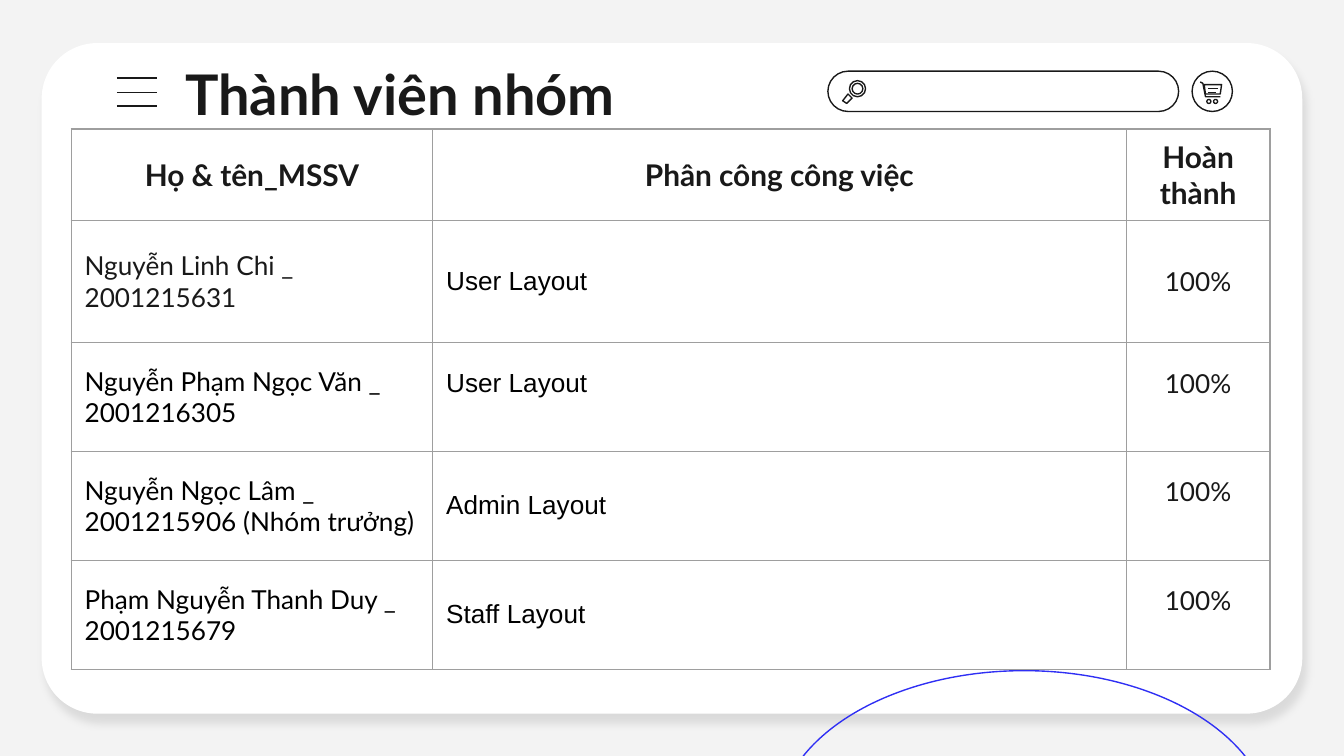
"""Build the team members slide with its task table."""
from lxml import etree
from pptx import Presentation
from pptx import util as u
from pptx.dml.color import RGBColor
from pptx.enum import shapes, text
from pptx.oxml import parse_xml

INK, BORDER, BLUE = "191919", "9E9E9E", "2F2FF4"
NS = "http://schemas.openxmlformats.org/drawingml/2006/main"
ROUND, OVAL = shapes.MSO_SHAPE.ROUNDED_RECTANGLE, shapes.MSO_SHAPE.OVAL


def paint(color_format, color):
    color_format.rgb = RGBColor.from_string(color)


def write(frame, content, size=14, font="Lato", color=INK, bold=False, centered=False):
    frame.word_wrap = True
    paragraph = frame.paragraphs[0]
    paragraph.alignment = text.PP_ALIGN.CENTER if centered else text.PP_ALIGN.LEFT
    run = paragraph.add_run()
    run.text = content
    run.font.size, run.font.name, run.font.bold = u.Pt(size), font, bold
    paint(run.font.color, color)


prs = Presentation()
prs.slide_width, prs.slide_height = u.Inches(10), u.Inches(10 * 9 / 16)
slide = prs.slides.add_slide(prs.slide_layouts[6])
slide.background.fill.solid()
paint(slide.background.fill.fore_color, "F3F3F3")

card = slide.shapes.add_shape(ROUND, u.Inches(0.31), u.Inches(0.32), u.Inches(9.38), u.Inches(4.99))
card.adjustments[0] = 0.083
card.fill.solid()
paint(card.fill.fore_color, "FFFFFF")
card.line.fill.background()
card._element.spPr.append(parse_xml(
    f'<a:effectLst xmlns:a="{NS}"><a:outerShdw blurRad="{u.Pt(4.5)}" dist="{u.Pt(6)}" '
    f'dir="{68 * 60000}" algn="bl" rotWithShape="0"><a:srgbClr val="000000">'
    '<a:alpha val="10000"/></a:srgbClr></a:outerShdw></a:effectLst>'))

outlines = [
    (OVAL, 5.78, 4.99, 3.68, 2.31, BLUE),
    (ROUND, 6.16, 0.53, 2.61, 0.3, INK),
    (OVAL, 8.87, 0.53, 0.3, 0.3, INK),
    (OVAL, 6.32, 0.6, 0.12, 0.12, INK),
    (OVAL, 6.34, 0.62, 0.08, 0.08, INK),
    (OVAL, 8.98, 0.74, 0.03, 0.03, INK),
    (OVAL, 9.03, 0.74, 0.03, 0.03, INK),
]
for kind, left, top, width, height, color in outlines:
    outline = slide.shapes.add_shape(kind, *map(u.Inches, (left, top, width, height)))
    if kind == ROUND:
        outline.adjustments[0] = 0.5
    outline.shadow.inherit = False
    outline.fill.background()
    outline.line.width = u.Pt(0.75)
    paint(outline.line.color, color)

menu_bars = [(0.87, y, 1.17) for y in (0.58, 0.69, 0.79)]
cart_lines = [(8.99, 0.66, 9.06), (8.99, 0.69, 9.05)]
for left, y, right in menu_bars + cart_lines:
    bar = slide.shapes.add_connector(
        shapes.MSO_CONNECTOR.STRAIGHT, u.Inches(left), u.Inches(y), u.Inches(right), u.Inches(y))
    bar.line.width = u.Pt(0.75)
    paint(bar.line.color, INK)
    etree.SubElement(bar._element.spPr, f"{{{NS}}}effectLst")

magnifier_handle = [(6.31, 0.7), (6.34, 0.73), (6.3, 0.77), (6.27, 0.75)]
cart_basket = [(8.96, 0.63), (9.09, 0.63), (9.08, 0.7), (8.97, 0.7)]
cart_frame = [(8.93, 0.61), (8.95, 0.62), (8.97, 0.72), (9.08, 0.72)]
for points, closed in ((magnifier_handle, True), (cart_basket, True), (cart_frame, False)):
    corners = [(u.Inches(x), u.Inches(y)) for x, y in points]
    builder = slide.shapes.build_freeform(*corners[0])
    builder.add_line_segments(corners[1:], close=closed)
    icon_part = builder.convert_to_shape()
    icon_part.shadow.inherit = False
    icon_part.fill.background()
    icon_part.line.width = u.Pt(0.75)
    paint(icon_part.line.color, INK)

title = slide.shapes.add_textbox(u.Inches(1.28), u.Inches(0.34), u.Inches(8.43), u.Inches(0.63)).text_frame
title.margin_left = title.margin_right = title.margin_top = title.margin_bottom = u.Inches(0.1)
write(title, "Thành viên nhóm", size=30, bold=True)

members = [
    ("Họ & tên_MSSV", "Phân công công việc", "Hoàn thành"),
    ("Nguyễn Linh Chi _ 2001215631", "User Layout", "100%"),
    ("Nguyễn Phạm Ngọc Văn _ 2001216305", "User Layout", "100%"),
    ("Nguyễn Ngọc Lâm _ 2001215906 (Nhóm trưởng)", "Admin Layout", "100%"),
    ("Phạm Nguyễn Thanh Duy _ 2001215679", "Staff Layout", "100%"),
]
raised_cells = {(2, 1), (2, 2), (3, 2), (4, 2)}
table = slide.shapes.add_table(
    5, 3, u.Inches(0.53), u.Inches(0.96), u.Inches(8.93), u.Inches(4.01)).table
table.first_row = table.horz_banding = False
for column, width in zip(table.columns, (2.69, 5.16, 1.07)):
    column.width = u.Inches(width)
for row, height in zip(table.rows, (0.68, 0.91, 0.81, 0.81, 0.81)):
    row.height = u.Inches(height)

for r, member in enumerate(members):
    for c, content in enumerate(member):
        cell = table.cell(r, c)
        cell.fill.background()
        cell.vertical_anchor = text.MSO_ANCHOR.MIDDLE
        cell.margin_left = cell.margin_right = u.Inches(0.1)
        cell.margin_top = u.Inches(0.07)
        cell.margin_bottom = u.Inches(0.28 if (r, c) in raised_cells else 0.07)
        header = r == 0
        black = not header and (c == 1 or (c == 0 and r > 1))
        write(cell.text_frame, content, size=16 if header else 14, bold=header,
              font="Arial" if c == 1 and not header else "Lato",
              color="000000" if black else INK, centered=header or c == 2)
        for position, side in enumerate("LRTB"):
            cell._tc.get_or_add_tcPr().insert(position, parse_xml(
                f'<a:ln{side} xmlns:a="{NS}" w="{u.Pt(0.75)}"><a:solidFill>'
                f'<a:srgbClr val="{BORDER}"/></a:solidFill></a:ln{side}>'))

prs.save("out.pptx")
